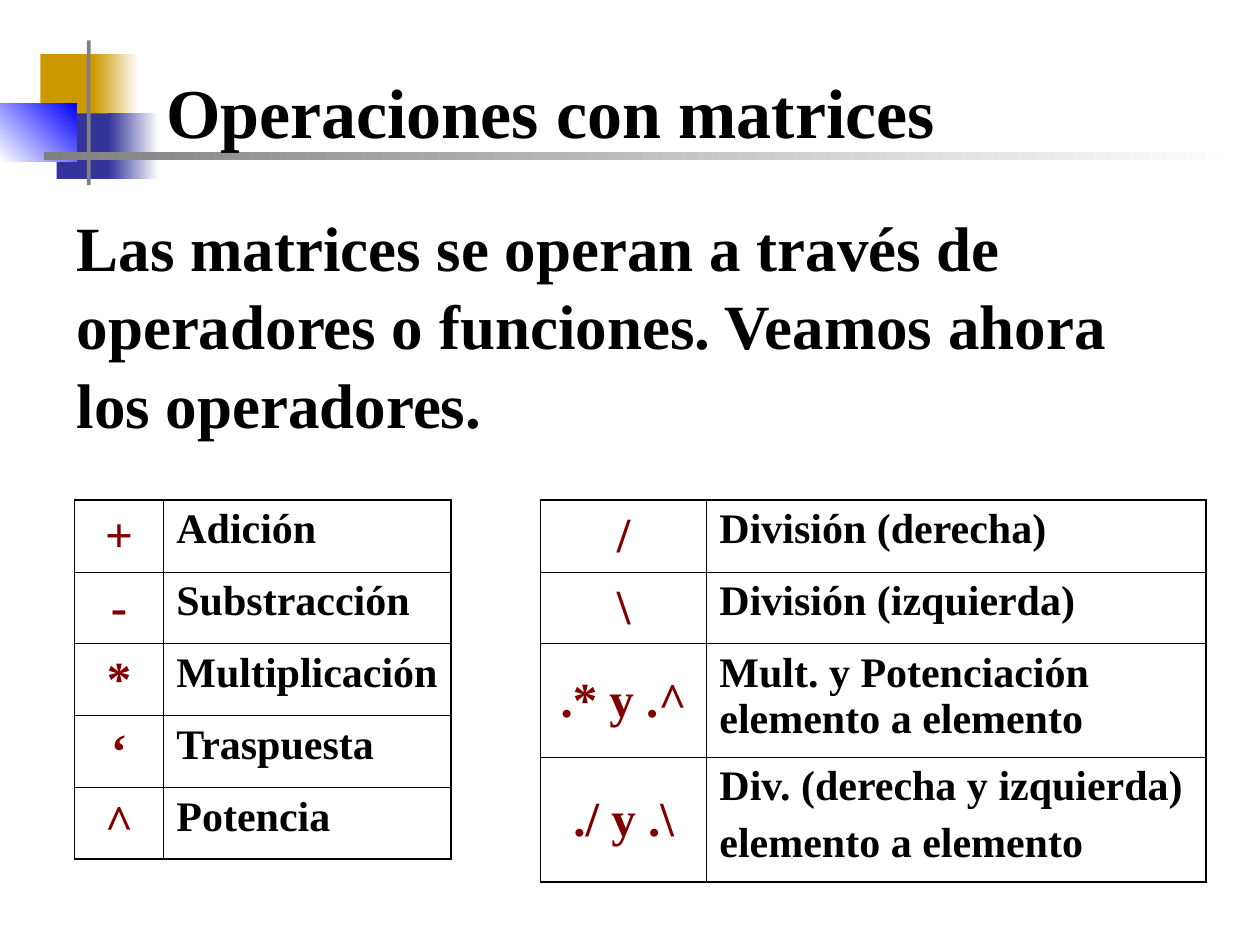
from lxml.etree import SubElement
from pptx import Presentation
from pptx.dml.color import RGBColor
from pptx.enum.shapes import MSO_SHAPE
from pptx.enum.text import MSO_ANCHOR, MSO_AUTO_SIZE, PP_ALIGN
from pptx.oxml.ns import qn
from pptx.util import Inches, Pt

FONT = "Times New Roman"
BLACK, MAROON, WHITE = "000000", "800000", "FFFFFF"
GOLD, NAVY, BLUE, GRAY = "CC9900", "333399", "0000FF", "808080"
THICK, THIN = 1.08, 0.45


def color(code):
    return RGBColor.from_string(code)


def write(par, text, size, code, before):
    par.space_before = Pt(before)
    run = par.add_run()
    run.text = text
    font = run.font
    font.name, font.size, font.bold = FONT, Pt(size), True
    font.color.rgb = color(code)


def add_text(slide, box, text, size, before, lines=1.04):
    shape = slide.shapes.add_textbox(*map(Inches, box))
    frame = shape.text_frame
    frame.word_wrap = True
    frame.auto_size = MSO_AUTO_SIZE.SHAPE_TO_FIT_TEXT
    frame.margin_top = Inches(0.08)
    frame.margin_bottom = Inches(0.02)
    par = frame.paragraphs[0]
    par.line_spacing = lines
    write(par, text, size, BLACK, before)


def add_block(group, box, first, last=None, angle=180):
    shape = group.shapes.add_shape(MSO_SHAPE.RECTANGLE, *map(Inches, box))
    shape.shadow.inherit = False
    shape.line.fill.background()
    if last is None:
        shape.fill.solid()
        shape.fill.fore_color.rgb = color(first)
        return
    shape.fill.gradient()
    shape.fill.gradient_angle = angle
    for stop, code in zip(shape.fill.gradient_stops, (first, last)):
        stop.color.rgb = color(code)


def add_motif(slide, box):
    left, top, width, height = box
    group = slide.shapes.add_group_shape()
    blocks = [
        (0.32, 0.11, 0.48, 0.52, GOLD),
        (0.74, 0.11, 0.36, 0.52, WHITE, GOLD),
        (0.45, 0.58, 0.46, 0.52, NAVY),
        (0.86, 0.58, 0.4, 0.52, WHITE, NAVY),
        (0, 0.5, 0.61, 0.46, BLUE, WHITE, 225),
        (0.69, 0, 0.03, height, GRAY),
        (0.35, 0.89, width - 0.35, 0.06, WHITE, GRAY),
    ]
    for x, y, wide, high, *fill in blocks:
        add_block(group, (left + x, top + y, wide, high), *fill)


def add_edges(cell, edges):
    props = cell._tc.get_or_add_tcPr()
    for side, width in zip("LRTB", edges):
        line = SubElement(props, qn("a:ln" + side), w=str(Pt(width)))
        fill = SubElement(line, qn("a:solidFill"))
        SubElement(fill, qn("a:srgbClr"), val=BLACK)
    cell.fill.background()


def add_grid(slide, box, cols, highs, rows):
    shape = slide.shapes.add_table(len(rows), 2, *map(Inches, box))
    table = shape.table
    table.first_row = table.horz_banding = False
    for col, width in zip(table.columns, cols):
        col.width = Inches(width)
    for idx, (high, (sign, *names)) in enumerate(zip(highs, rows)):
        table.rows[idx].height = Inches(high)
        top = THICK if idx == 0 else THIN
        base = THICK if idx == len(rows) - 1 else THIN
        mark, label = table.cell(idx, 0), table.cell(idx, 1)
        add_edges(mark, (THICK, THIN, top, base))
        add_edges(label, (THIN, THICK, top, base))
        mark.vertical_anchor = MSO_ANCHOR.MIDDLE
        par = mark.text_frame.paragraphs[0]
        par.alignment = PP_ALIGN.CENTER
        write(par, sign, 28, MAROON, 7)
        frame = label.text_frame
        for num, name in enumerate(names):
            par = frame.add_paragraph() if num else frame.paragraphs[0]
            write(par, name, 24, BLACK, 6)


def main():
    deck = Presentation()
    deck.slide_width, deck.slide_height = Inches(10), Inches(7.5)
    slide = deck.slides.add_slide(deck.slide_layouts[6])
    add_motif(slide, (0, 0.32, 9.86, 1.15))
    add_text(slide, (1.22, 0.44, 8.42, 0.77), "Operaciones con matrices", 40, 25)
    add_text(
        slide, (0.51, 1.55, 8.98, 1.9),
        "Las matrices se operan a través de operadores o funciones. "
        "Veamos ahora los operadores.", 36, 22.5,
    )
    add_grid(slide, (0.59, 3.97, 2.99, 2.85), (0.71, 2.28), [0.57] * 5, [
        ("+", "Adición"),
        ("-", "Substracción"),
        ("*", "Multiplicación"),
        ("‘", "Traspuesta"),
        ("^", "Potencia"),
    ])
    add_grid(slide, (4.29, 3.97, 5.28, 3.03), (1.32, 3.96), (0.57, 0.57, 0.9, 0.99), [
        ("/", "División (derecha)"),
        ("\\", "División (izquierda)"),
        (".* y .^", "Mult. y Potenciación elemento a elemento"),
        ("./ y .\\", "Div. (derecha y izquierda)", "elemento a elemento"),
    ])
    deck.save("out.pptx")


if __name__ == "__main__":
    main()
